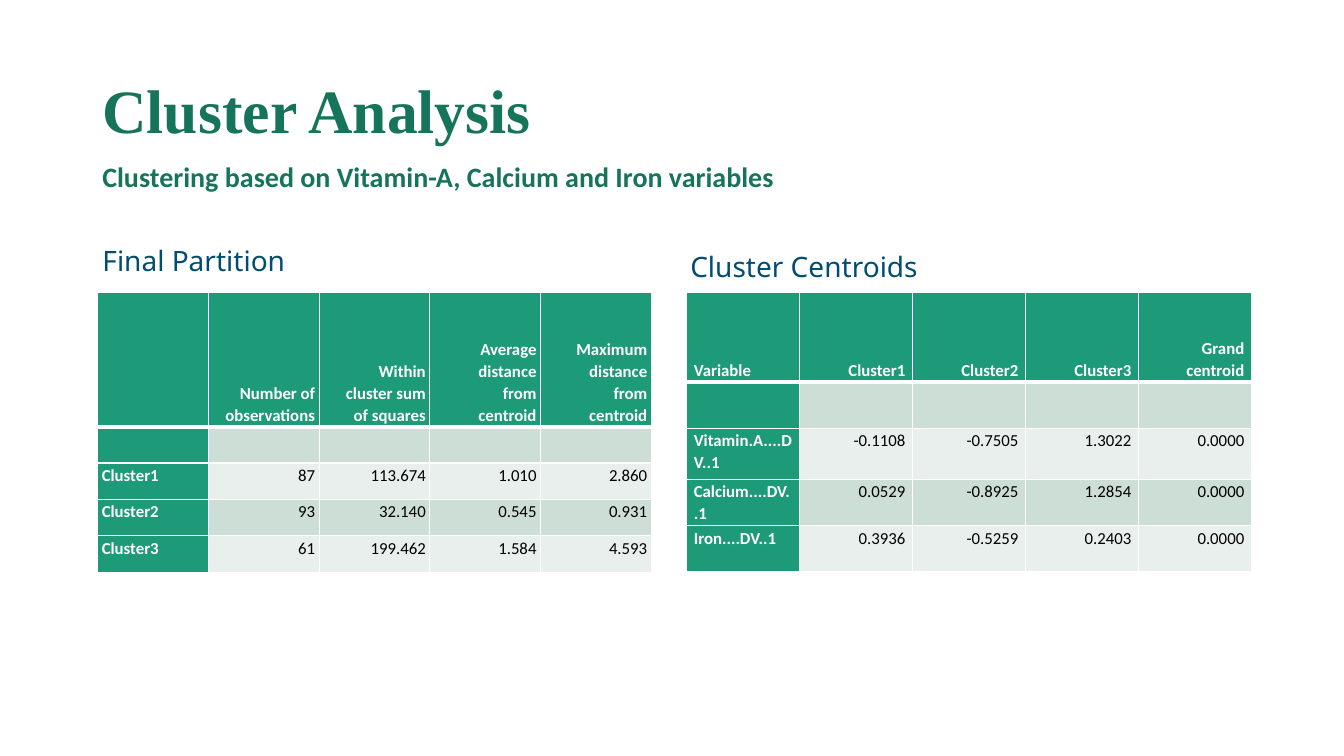
from dataclasses import dataclass

from lxml import etree
from pptx import Presentation
from pptx.dml.color import RGBColor
from pptx.enum.text import MSO_ANCHOR, MSO_AUTO_SIZE, PP_ALIGN
from pptx.oxml.ns import qn
from pptx.util import Pt

LEFT, RIGHT = PP_ALIGN.LEFT, PP_ALIGN.RIGHT
TOP, MIDDLE, BOTTOM = MSO_ANCHOR.TOP, MSO_ANCHOR.MIDDLE, MSO_ANCHOR.BOTTOM
NO_FIT, GROW = MSO_AUTO_SIZE.NONE, MSO_AUTO_SIZE.SHAPE_TO_FIT_TEXT
TITLE_AND_CONTENT = 1


@dataclass(frozen=True)
class Style:
    """Font, size, colour and weight of a run."""
    font: str
    size: float
    color: str
    bold: bool = False


@dataclass(frozen=True)
class Theme:
    """Colours and type styles of the slide."""
    title: Style = Style("Times New Roman", 44, "16745A", True)
    subtitle: Style = Style("Calibri", 20, "16745A", True)
    caption: Style = Style("Noto Sans", 20, "004D72")
    label: Style = Style("Calibri", 12, "FFFFFF", True)
    value: Style = Style("Calibri", 12, "000000")
    label_fill: str = "1D9A78"
    bands: tuple = ("E8EFEC", "CDDED6")
    border: str = "FFFFFF"


THEME = Theme()

PARTITION = [
    ["", "Number of\nobservations", "Within\ncluster sum\nof squares",
     "Average\ndistance\nfrom\ncentroid", "Maximum\ndistance\nfrom\ncentroid"],
    [""] * 5,
    ["Cluster1", "87", "113.674", "1.010", "2.860"],
    ["Cluster2", "93", "32.140", "0.545", "0.931"],
    ["Cluster3", "61", "199.462", "1.584", "4.593"],
]
CENTROIDS = [
    ["Variable", "Cluster1", "Cluster2", "Cluster3", "Grand\ncentroid"],
    [""] * 5,
    ["Vitamin.A....DV..1", "-0.1108", "-0.7505", "1.3022", "0.0000"],
    ["Calcium....DV..1", "0.0529", "-0.8925", "1.2854", "0.0000"],
    ["Iron....DV..1", "0.3936", "-0.5259", "0.2403", "0.0000"],
]


def write(para, text, style, align=LEFT, spacing=1.0, before=0, after=0):
    """Write styled runs into a paragraph, breaking at newlines."""
    para.alignment = align
    para.line_spacing = spacing
    para.space_before, para.space_after = Pt(before), Pt(after)
    for index, line in enumerate(text.split("\n")):
        if index:
            para.add_line_break()
        span = para.add_run()
        span.text = line
        span.font.name, span.font.size = style.font, Pt(style.size)
        span.font.bold = style.bold
        span.font.color.rgb = RGBColor.from_string(style.color)


def place(shape, left, top, width, height):
    """Set position and size of a shape in points."""
    shape.left, shape.top = Pt(left), Pt(top)
    shape.width, shape.height = Pt(width), Pt(height)


def fill_box(box, text, style, anchor=TOP, fit=NO_FIT, **layout):
    """Put one wrapped, unbulleted paragraph into a box."""
    frame = box.text_frame
    frame.word_wrap, frame.auto_size = True, fit
    frame.vertical_anchor = anchor
    para = frame.paragraphs[0]
    write(para, text, style, **layout)
    if box.is_placeholder:
        properties = para._p.get_or_add_pPr()
        properties.set("marL", "0")
        properties.set("indent", "0")
        etree.SubElement(properties, qn("a:buNone"))


def add_text(slide, area, text, style, **layout):
    """Add a text box that grows with its text."""
    box = slide.shapes.add_textbox(*map(Pt, area))
    fill_box(box, text, style, fit=GROW, **layout)


def set_borders(cell, widths):
    """Draw cell borders; widths maps the side letters to points."""
    properties = cell._tc.get_or_add_tcPr()
    for index, (side, width) in enumerate(widths.items()):
        line = etree.Element(qn("a:ln" + side), w=str(Pt(width)))
        solid = etree.SubElement(line, qn("a:solidFill"))
        etree.SubElement(solid, qn("a:srgbClr"), val=THEME.border)
        properties.insert(index, line)


def format_cell(cell, text, row, column, inset):
    """Fill, border and write one cell according to its place."""
    is_label = row == 0 or column == 0
    cell.fill.solid()
    cell.fill.fore_color.rgb = RGBColor.from_string(
        THEME.label_fill if is_label else THEME.bands[row % 2])
    set_borders(cell, {"L": 1, "R": 1, "T": 3 if row == 1 else 1,
                       "B": 3 if row == 0 else 1})
    cell.margin_left = cell.margin_right = Pt(inset)
    cell.margin_top = cell.margin_bottom = Pt(0.75)
    cell.vertical_anchor = BOTTOM if row == 0 else TOP
    if text:
        write(cell.text_frame.paragraphs[0], text,
              THEME.label if is_label else THEME.value,
              RIGHT if column else LEFT, spacing=1.07, before=4.5)


def add_data_table(slide, left, top, column_width, heights, inset, data):
    """Add a table with equal columns, green labels and banded values."""
    width = column_width * len(data[0])
    table = slide.shapes.add_table(len(data), len(data[0]), Pt(left), Pt(top),
                                   Pt(width), Pt(sum(heights))).table
    table.first_col = True
    for column in table.columns:
        column.width = Pt(column_width)
    for row, (height, texts) in enumerate(zip(heights, data)):
        table.rows[row].height = Pt(height)
        for column, text in enumerate(texts):
            format_cell(table.cell(row, column), text, row, column, inset)


def main():
    """Build the cluster analysis slide."""
    deck = Presentation()
    deck.slide_width, deck.slide_height = Pt(960), Pt(540)
    slide = deck.slides.add_slide(deck.slide_layouts[TITLE_AND_CONTENT])

    title, body = slide.placeholders
    place(title, 66, 28.75, 828, 104.4)
    fill_box(title, "Cluster Analysis", THEME.title, MIDDLE, spacing=0.9)
    place(body, 66, 172.8, 408, 314)
    fill_box(body, "Final Partition", THEME.caption, spacing=0.9, before=10)
    add_text(slide, (66, 110.2, 820.8, 31.5),
             "Clustering based on Vitamin-A, Calcium and Iron variables",
             THEME.subtitle)
    add_text(slide, (486, 172.8, 324, 31), "Cluster Centroids", THEME.caption,
             spacing=1.07, after=3.8)

    add_data_table(slide, 69.8, 209, 79.1, [95.8] + [26] * 4, 2.9, PARTITION)
    add_data_table(slide, 490.5, 209, 80.7, [64, 33, 36.5, 33, 33], 5.1,
                   CENTROIDS)
    deck.save("out.pptx")


if __name__ == "__main__":
    main()
